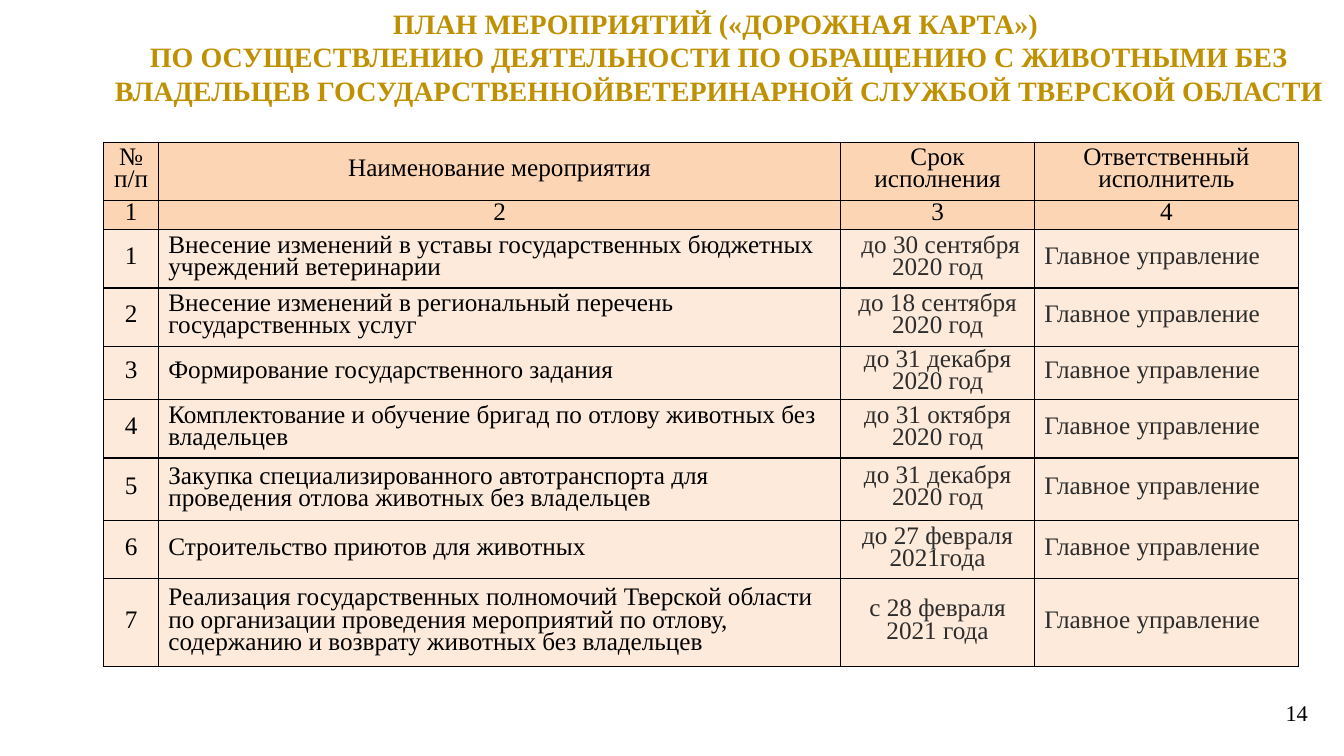
from collections import namedtuple

from lxml import etree
from pptx import Presentation, util as u
from pptx.dml.color import RGBColor
from pptx.enum import text
from pptx.oxml import ns

GOLD = RGBColor(0xBF, 0x90, 0x00)
BLACK = RGBColor(0, 0, 0)
GRAPHITE = RGBColor(0x2D, 0x2D, 0x2D)
PEACH = RGBColor(0xFC, 0xD5, 0xB5)
CREAM = RGBColor(0xFD, 0xEA, 0xDA)

FONT = "Times New Roman"
LEFT, CENTER, RIGHT = text.PP_ALIGN.LEFT, text.PP_ALIGN.CENTER, text.PP_ALIGN.RIGHT
WIDTH, HEIGHT = u.Inches(13.33), u.Inches(7.5)
Box = namedtuple("Box", "left top width height")

TITLE = (
    "ПЛАН МЕРОПРИЯТИЙ («ДОРОЖНАЯ КАРТА») \n"
    "ПО ОСУЩЕСТВЛЕНИЮ ДЕЯТЕЛЬНОСТИ ПО ОБРАЩЕНИЮ С ЖИВОТНЫМИ БЕЗ ВЛАДЕЛЬЦЕВ "
    "ГОСУДАРСТВЕННОЙВЕТЕРИНАРНОЙ СЛУЖБОЙ ТВЕРСКОЙ ОБЛАСТИ"
)
HEADINGS = ["№ п/п", "Наименование мероприятия", "Срок исполнения",
            "Ответственный исполнитель"]
EXECUTOR = "Главное управление"
MEASURES = [
    ("Внесение изменений в уставы государственных бюджетных учреждений ветеринарии",
     " до 30 сентября\n2020 год"),
    ("Внесение изменений в региональный перечень государственных услуг",
     "до 18 сентября\n2020 год"),
    ("Формирование государственного задания", "до 31 декабря\n2020 год"),
    ("Комплектование и обучение бригад по отлову животных без владельцев",
     "до 31 октября\n2020 год"),
    ("Закупка специализированного автотранспорта для проведения отлова животных "
     "без владельцев", "до 31 декабря\n2020 год"),
    ("Строительство приютов для животных", "до 27 февраля\n2021года"),
    ("Реализация государственных полномочий Тверской области по организации проведения "
     "мероприятий по отлову, содержанию и возврату животных без владельцев",
     "с 28 февраля\n2021 года"),
]
# Relative widths and heights within the table
COLUMNS = [0.54, 6.77, 1.92, 2.62]
ROWS = [0.58, 0.29, 0.58, 0.58, 0.53, 0.58, 0.62, 0.58, 0.87]


def inches_box(left, top, width, height):
    return Box(*map(u.Inches, (left, top, width, height)))


def format_text(frame, size, color, align, bold=False, spacing=None):
    for para in frame.paragraphs:
        para.alignment = align
        para.line_spacing = spacing
        for span in para.runs:
            span.font.name = FONT
            span.font.size = u.Pt(size)
            span.font.bold = bold
            span.font.color.rgb = color


def add_title(page, box):
    title = page.shapes.title
    title.left, title.top, title.width, title.height = box
    frame = title.text_frame
    frame.text = TITLE
    frame.word_wrap = True
    frame.auto_size = text.MSO_AUTO_SIZE.NONE
    frame.vertical_anchor = text.MSO_ANCHOR.TOP
    format_text(frame, 20, GOLD, CENTER, bold=True)


def add_page_number(page, box):
    frame = page.shapes.add_textbox(*box).text_frame
    frame.text = "14"
    frame.word_wrap = True
    frame.vertical_anchor = text.MSO_ANCHOR.MIDDLE
    format_text(frame, 16, BLACK, RIGHT)


def add_borders(cell):
    properties = cell._tc.get_or_add_tcPr()
    for side in ("a:lnL", "a:lnR", "a:lnT", "a:lnB"):
        line = etree.SubElement(properties, ns.qn(side), w=str(u.Pt(1)))
        fill = etree.SubElement(line, ns.qn("a:solidFill"))
        etree.SubElement(fill, ns.qn("a:srgbClr"), val=str(BLACK))


def fill_cell(cell, words, fill, color, align, margin):
    add_borders(cell)
    cell.fill.solid()
    cell.fill.fore_color.rgb = fill
    cell.margin_left = cell.margin_right = u.Inches(margin)
    cell.margin_top = cell.margin_bottom = 0
    cell.vertical_anchor = text.MSO_ANCHOR.MIDDLE
    cell.text_frame.text = words
    format_text(cell.text_frame, 18, color, align, spacing=u.Pt(15.8))


def add_plan_table(page, box):
    table = page.shapes.add_table(len(ROWS), len(COLUMNS), *box).table
    for column, share in zip(table.columns, COLUMNS):
        column.width = int(box.width * share / sum(COLUMNS))
    for row, share in zip(table.rows, ROWS):
        row.height = int(box.height * share / sum(ROWS))

    # Headings and column numbers
    numbers = [str(i + 1) for i in range(len(COLUMNS))]
    for r, labels in enumerate((HEADINGS, numbers)):
        for c, label in enumerate(labels):
            fill_cell(table.cell(r, c), label, PEACH, BLACK, CENTER, 0.08)

    # Measures
    styles = [(BLACK, CENTER, 0.08), (BLACK, LEFT, 0.1),
              (GRAPHITE, CENTER, 0.1), (GRAPHITE, LEFT, 0.1)]
    for number, (measure, term) in enumerate(MEASURES, 1):
        values = (str(number), measure, term, EXECUTOR)
        for c, (value, style) in enumerate(zip(values, styles)):
            fill_cell(table.cell(number + 1, c), value, CREAM, *style)

    # The fifth measure has proportional spacing
    table.cell(6, 1).text_frame.paragraphs[0].line_spacing = 0.8


def main():
    deck = Presentation()
    deck.slide_width, deck.slide_height = WIDTH, HEIGHT
    page = deck.slides.add_slide(deck.slide_layouts[5])
    add_title(page, inches_box(0.93, 0.01, 12.4, 1.11))
    add_page_number(page, inches_box(9.96, 6.81, 3.11, 0.52))
    add_plan_table(page, inches_box(1.03, 1.41, 11.85, 5.2))
    deck.save("out.pptx")


if __name__ == "__main__":
    main()
